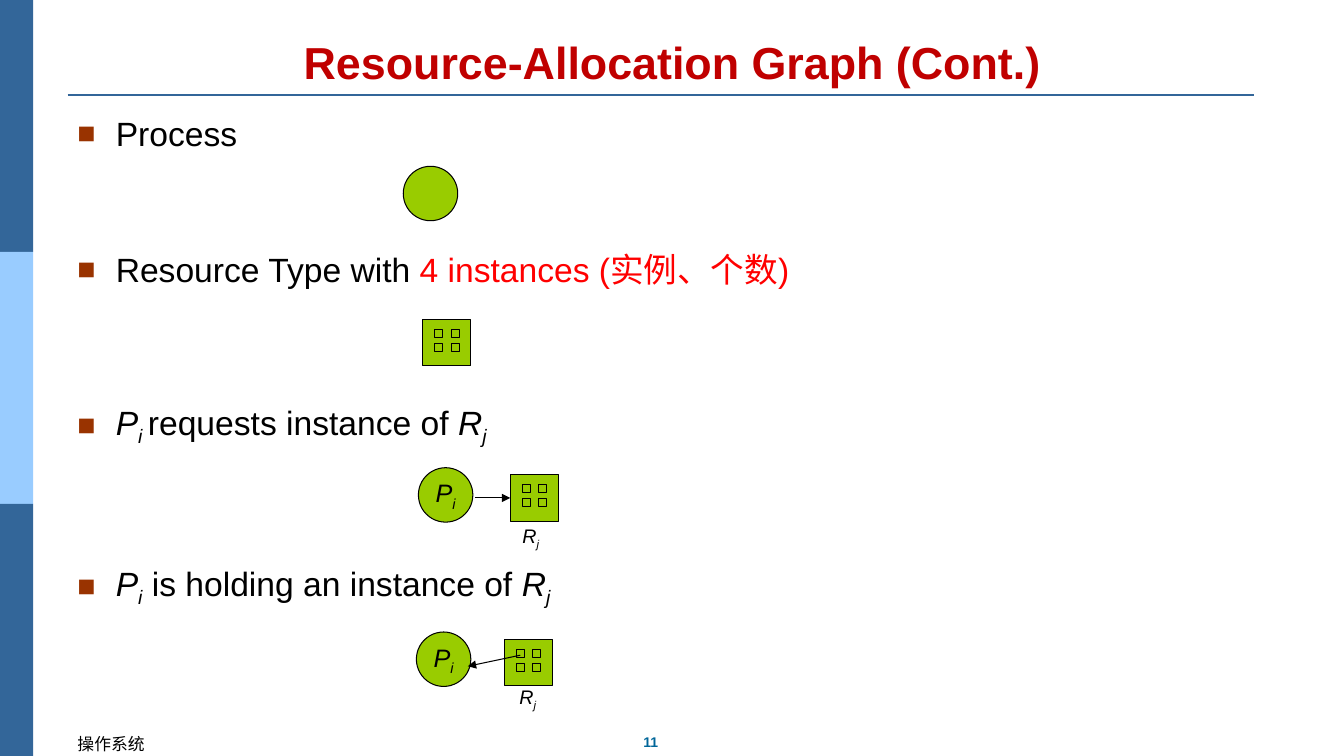
from lxml.etree import SubElement
from pptx import Presentation
from pptx.dml.color import RGBColor
from pptx.enum.shapes import MSO_CONNECTOR, MSO_SHAPE
from pptx.enum.text import MSO_ANCHOR, PP_ALIGN
from pptx.oxml.ns import qn
from pptx.util import Inches, Pt

NAVY = RGBColor(0x33, 0x66, 0x99)
SKY = RGBColor(0x99, 0xCC, 0xFF)
TEAL = RGBColor(0x00, 0x66, 0x99)
MAROON = RGBColor(0xC0, 0x00, 0x00)
RED = RGBColor(0xFF, 0x00, 0x00)
RUST = "993300"
LIME = RGBColor(0x99, 0xCC, 0x00)
BLACK = RGBColor(0x00, 0x00, 0x00)

ITAL = {"italic": True}
SUB = {"italic": True, "sub": True}
PROC = [("P", ITAL), ("i", SUB)]
KIND = [("R", ITAL), ("j", SUB)]
ITEMS = [
    ([("Process", {})], 0),
    ([("Resource Type with ", {}), ("4 instances (实例、个数)", {"color": RED})], 69),
    ([("P", ITAL), ("i ", SUB), ("requests instance of ", {}), *KIND], 85.5),
    ([*PROC, (" is holding an instance of ", {}), *KIND], 87),
]


def write(par, text, size=24, color=BLACK, bold=False, italic=False, sub=False,
          align=PP_ALIGN.LEFT):
    par.alignment = align
    run = par.add_run()
    run.text = text
    font = run.font
    font.name, font.size, font.bold, font.italic = "Arial", Pt(size), bold, italic
    font.color.rgb = color
    if sub:
        run._r.get_or_add_rPr().set("baseline", "-25000")


def label(par, parts, **base):
    for text, form in parts:
        write(par, text, **{**base, **form})


def place(box):
    return [Inches(size) for size in box]


def shape(shapes, kind, box, fill=LIME, line=BLACK):
    item = shapes.add_shape(kind, *place(box))
    item.shadow.inherit = False
    item.fill.solid()
    item.fill.fore_color.rgb = fill
    if line is None:
        item.line.fill.background()
    else:
        item.line.color.rgb = line
        item.line.width = Pt(0.75)
    return item


def link(shapes, start, end, color=BLACK, width=0.75, arrow=True):
    line = shapes.add_connector(MSO_CONNECTOR.STRAIGHT, *place(start + end))
    line.line.color.rgb = color
    line.line.width = Pt(width)
    if arrow:
        SubElement(line.line._get_or_add_ln(), qn("a:tailEnd"), type="triangle")
    SubElement(line._element.spPr, qn("a:effectLst"))
    return line


def frame(shapes, box, wrap=True, anchor=MSO_ANCHOR.TOP):
    text = shapes.add_textbox(*place(box)).text_frame
    text.word_wrap = wrap
    text.vertical_anchor = anchor
    return text


def process(shapes, left, top, parts=()):
    disc = shape(shapes, MSO_SHAPE.OVAL, (left, top, 0.54, 0.54))
    text = disc.text_frame
    text.word_wrap = False
    text.vertical_anchor = MSO_ANCHOR.MIDDLE
    label(text.paragraphs[0], parts, size=18, align=PP_ALIGN.CENTER)


def resource(shapes, left, top):
    block = shape(shapes, MSO_SHAPE.RECTANGLE, (left, top, 0.48, 0.46))
    for row in range(2):
        for col in range(2):
            box = (left + 0.12 + 0.165 * col, top + 0.1 + 0.14 * row, 0.08, 0.08)
            shape(shapes, MSO_SHAPE.RECTANGLE, box)
    return block


def pair(shapes, left, top, gap, tag):
    process(shapes, left, top, PROC)
    block = resource(shapes, left + gap, top + 0.07)
    text = frame(shapes, (left + tag[0], top + tag[1], 0.37, 0.34), False,
                 MSO_ANCHOR.MIDDLE)
    label(text.paragraphs[0], KIND, size=14, align=PP_ALIGN.CENTER)
    return block


def request(shapes, left, top):
    block = pair(shapes, left, top, 0.91, (0.93, 0.52))
    middle = top + 0.3
    arrow = link(shapes, (left + 0.56, middle), (left + 0.91, middle))
    arrow.end_connect(block, 1)


def holding(shapes, left, top):
    pair(shapes, left, top, 0.87, (0.92, 0.49))
    link(shapes, (left + 1.03, top + 0.23), (left + 0.51, top + 0.34))


def border(shapes, left, top, width, height):
    band = height / 3
    for row, color in enumerate((NAVY, SKY, NAVY)):
        box = (left, top + row * band, width, band)
        shape(shapes, MSO_SHAPE.RECTANGLE, box, color, None)


def header(slide, left, top, width, height):
    title = slide.shapes.title
    title.left, title.top, title.width, title.height = place((left, top, width, height))
    text = title.text_frame
    text.word_wrap = True
    text.vertical_anchor = MSO_ANCHOR.BOTTOM
    write(text.paragraphs[0], "Resource-Allocation Graph (Cont.)", size=32,
          color=MAROON, bold=True, align=PP_ALIGN.CENTER)
    under = top + height + 0.01
    link(slide.shapes, (left, under), (left + 11.77, under), NAVY, 1.5, False)


def bullet(par):
    props = par._p.get_or_add_pPr()
    props.set("marL", str(Inches(0.38)))
    props.set("indent", str(Inches(-0.38)))
    SubElement(SubElement(props, qn("a:buClr")), qn("a:srgbClr"), val=RUST)
    SubElement(props, qn("a:buSzPct"), val="90000")
    SubElement(props, qn("a:buFont"), typeface="Arial")
    SubElement(props, qn("a:buChar"), char="■")


def body(shapes, *box):
    text = frame(shapes, box)
    for row, (parts, gap) in enumerate(ITEMS):
        par = text.add_paragraph() if row else text.paragraphs[0]
        par.line_spacing = Pt(28)
        par.space_before = Pt(gap)
        bullet(par)
        label(par, parts)


def footer(shapes, left, top):
    number = frame(shapes, (left + 5.6, top, 0.37, 0.27), False)
    write(number.paragraphs[0], "11", size=10, color=TEAL, bold=True,
          align=PP_ALIGN.CENTER)
    course = frame(shapes, (left, top, 3.48, 0.3))
    write(course.paragraphs[0], "操作系统", size=12)


def main():
    deck = Presentation()
    deck.slide_width, deck.slide_height = Inches(13.33), Inches(7.5)
    slide = deck.slides.add_slide(deck.slide_layouts[5])
    shapes = slide.shapes
    border(shapes, 0, 0, 0.33, 7.5)
    footer(shapes, 0.67, 7.23)
    header(slide, 0.67, 0.3, 12, 0.63)
    body(shapes, 0.67, 1.08, 12, 4.95)
    process(shapes, 4, 1.65)
    resource(shapes.add_group_shape().shapes, 4.19, 3.17)
    holding(shapes.add_group_shape().shapes, 4.13, 6.27)
    request(shapes.add_group_shape().shapes, 4.15, 4.64)
    deck.save("out.pptx")


if __name__ == "__main__":
    main()
